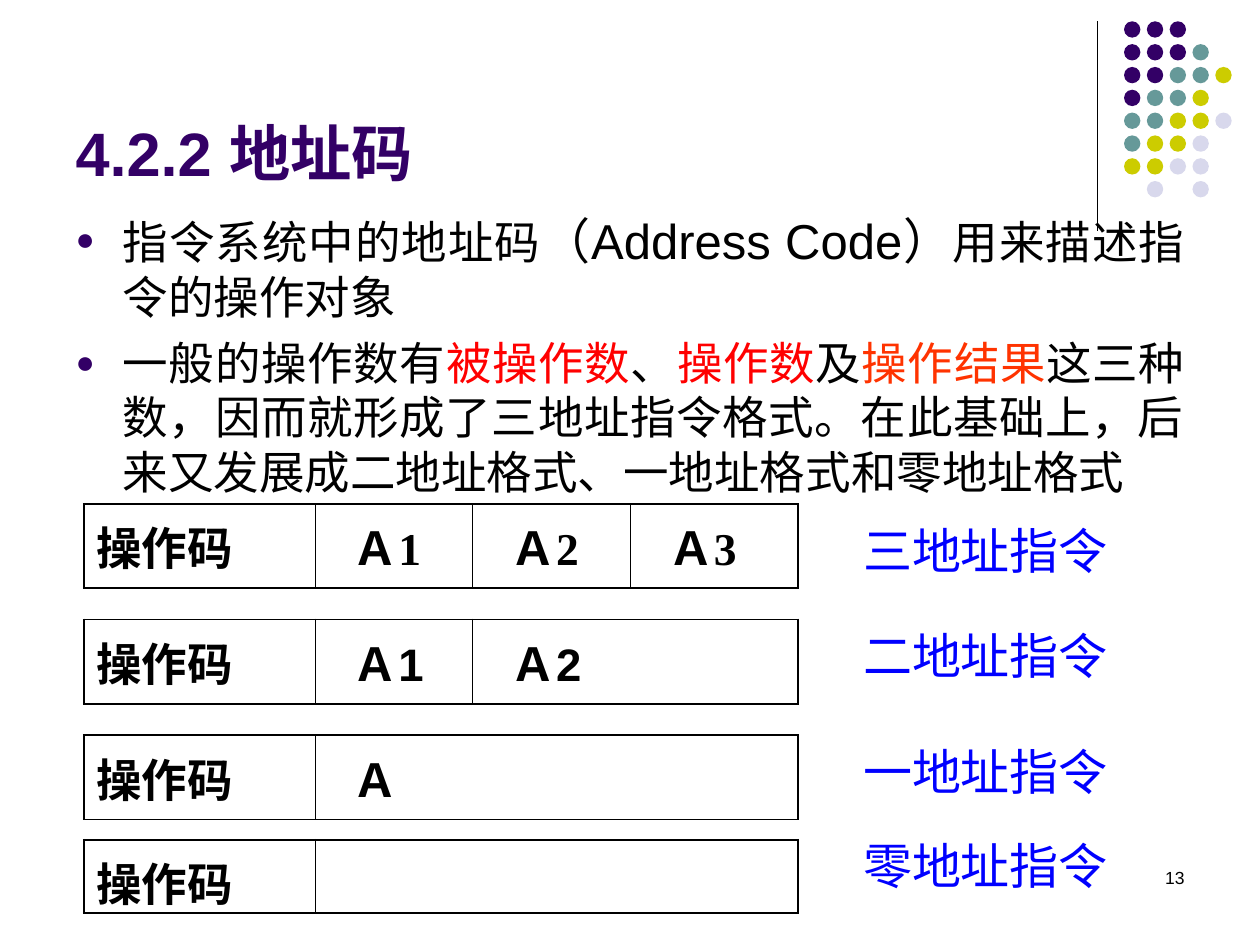
from dataclasses import dataclass

from lxml.etree import SubElement
from pptx import Presentation
from pptx.dml.color import RGBColor
from pptx.enum.shapes import MSO_CONNECTOR, MSO_SHAPE
from pptx.enum.text import MSO_ANCHOR, MSO_AUTO_SIZE as AutoSize, PP_ALIGN as Align
from pptx.oxml import parse_xml
from pptx.oxml.ns import nsdecls, qn
from pptx.util import Cm, Pt


@dataclass(frozen=True)
class Theme:
    purple: str = "330066"
    teal: str = "669999"
    olive: str = "CCCC00"
    lilac: str = "D8D8EC"
    ink: str = "000000"
    red: str = "FF0000"
    orange: str = "FF3300"
    blue: str = "0000FF"
    sans: str = "Arial"
    serif: str = "Times New Roman"
    title: float = 35
    body: float = 26
    large: float = 28
    number: float = 10
    space: float = 6.5
    thick: float = 1.08
    thin: float = 0.45


theme = Theme()


def add_run(paragraph, text, size, color=theme.ink, name=theme.sans, bold=False):
    run = paragraph.add_run()
    run.text = text
    for key, value in dict(size=Pt(size), name=name, bold=bold).items():
        setattr(run.font, key, value)
    run.font.color.rgb = RGBColor.from_string(color)


def add_label(left, top, width, height, align, fit, *run):
    label = slide.shapes.add_textbox(Cm(left), Cm(top), Cm(width), Cm(height))
    label.text_frame.word_wrap = True
    label.text_frame.auto_size = fit
    paragraph = label.text_frame.paragraphs[0]
    paragraph.alignment = align
    add_run(paragraph, *run)


deck = Presentation()
deck.slide_width, deck.slide_height = Cm(25.4), Cm(19.05)
slide = deck.slides.add_slide(deck.slide_layouts[1])

# Corner decoration: a rule and a grid of dots
rule = slide.shapes.add_connector(
    MSO_CONNECTOR.STRAIGHT, Cm(22.12), Cm(0.43), Cm(22.12), Cm(4.65))
rule.line.width = Pt(0.75)
rule.line.color.rgb = RGBColor.from_string(theme.ink)
SubElement(rule.element.spPr, qn("a:effectLst"))

dot_colors = {"P": theme.purple, "T": theme.teal, "O": theme.olive, "L": theme.lilac}
dot_rows = ["PPP", "PPPT", "PPTTO", "PTTO", "TTOOL", "TOOL", "OOLL", " L L"]
for row, codes in enumerate(dot_rows):
    for column, code in enumerate(codes):
        if code == " ":
            continue
        dot = slide.shapes.add_shape(
            MSO_SHAPE.OVAL, Cm(22.66 + 0.46 * column), Cm(0.43 + 0.46 * row),
            Cm(0.33), Cm(0.33))
        dot.shadow.inherit = False
        dot.fill.solid()
        dot.fill.fore_color.rgb = RGBColor.from_string(dot_colors[code])
        dot.line.fill.background()

# Title and body placeholders
heading, points = slide.shapes.title, slide.placeholders[1]
for holder, box, anchor in (
    (heading, (1.27, 0.33, 20.95, 3.6), MSO_ANCHOR.BOTTOM),
    (points, (1.27, 4.11, 22.86, 12.9), MSO_ANCHOR.TOP),
):
    for key, value in zip(("left", "top", "width", "height"), box):
        setattr(holder, key, Cm(value))
    frame_format = dict(auto_size=AutoSize.NONE, vertical_anchor=anchor, word_wrap=True)
    for key, value in frame_format.items():
        setattr(holder.text_frame, key, value)

heading_line = heading.text_frame.paragraphs[0]
heading_line.alignment = Align.LEFT
add_run(heading_line, "4.2.2 地址码", theme.title, theme.purple, theme.sans, True)

point_runs = [
    [("指令系统中的地址码", theme.body), ("（Address Code）", theme.large),
     ("用来描述指令的操作对象", theme.body)],
    [("一般的操作数有", theme.body), ("被操作数", theme.body, theme.red),
     ("、", theme.body), ("操作数", theme.body, theme.red), ("及", theme.body),
     ("操作结果", theme.body, theme.orange),
     ("这三种数，因而就形成了三地址指令格式。在此基础上，"
      "后来又发展成二地址格式、一地址格式和零地址格式", theme.body)],
]
for index, runs in enumerate(point_runs):
    frame = points.text_frame
    point = frame.add_paragraph() if index else frame.paragraphs[0]
    point.alignment = Align.JUSTIFY
    point.space_before = Pt(theme.space if index else 0)
    properties = point._p.get_or_add_pPr()
    properties.set("marL", str(Cm(0.95)))
    properties.set("indent", str(-Cm(0.95)))
    bullet_color = SubElement(properties, qn("a:buClr"))
    SubElement(bullet_color, qn("a:srgbClr"), val=theme.purple)
    SubElement(properties, qn("a:buSzPct"), val="70000")
    SubElement(properties, qn("a:buChar"), char="●")
    for run in runs:
        add_run(point, *run)

# Instruction formats: one table and one label per row
formats = [
    # table top, height, column widths, fields, font, label, label top
    (10.16, 1.7, (4.66, 3.18, 3.18, 3.38), ("Ａ1", "Ａ2", "Ａ3"), theme.serif,
     "三地址指令", 10.37),
    (12.49, 1.7, (4.66, 3.18, 6.56), ("Ａ1", "Ａ2"), theme.sans, "二地址指令", 12.49),
    (14.82, 1.7, (4.66, 9.74), ("Ａ",), theme.sans, "一地址指令", 14.82),
    (16.93, 1.48, (4.66, 9.74), ("",), theme.sans, "零地址指令", 16.72),
]
for top, height, widths, fields, font, label, label_top in formats:
    table = slide.shapes.add_table(
        1, len(widths), Cm(1.69), Cm(top), Cm(sum(widths)), Cm(height)).table
    table.first_row = table.horz_banding = False
    last = len(widths) - 1
    for column, (width, text) in enumerate(zip(widths, ("操作码", *fields))):
        table.columns[column].width = Cm(width)
        cell = table.cell(0, column)
        cell.fill.background()
        margins = dict(margin_left=0.76 if column else 0.25, margin_right=0.25,
                       margin_top=0.18, margin_bottom=0)
        for key, value in margins.items():
            setattr(cell, key, Cm(value))
        if text:
            add_run(cell.text_frame.paragraphs[0], text, theme.body, theme.ink, font, True)
        borders = dict(lnL=theme.thin if column else theme.thick,
                       lnR=theme.thick if column == last else theme.thin,
                       lnT=theme.thick, lnB=theme.thick)
        for position, (side, weight) in enumerate(borders.items()):
            cell._tc.get_or_add_tcPr().insert(position, parse_xml(
                f'<a:{side} {nsdecls("a")} w="{Pt(weight)}"><a:solidFill>'
                f'<a:srgbClr val="{theme.ink}"/></a:solidFill></a:{side}>'))
    add_label(17.15, label_top, 6, 1.45, Align.LEFT, AutoSize.SHAPE_TO_FIT_TEXT,
              label, theme.large, theme.blue, theme.serif)

# Slide number
add_label(18.21, 17.35, 5.92, 1.27, Align.RIGHT, AutoSize.NONE, "13", theme.number)

deck.save("out.pptx")
